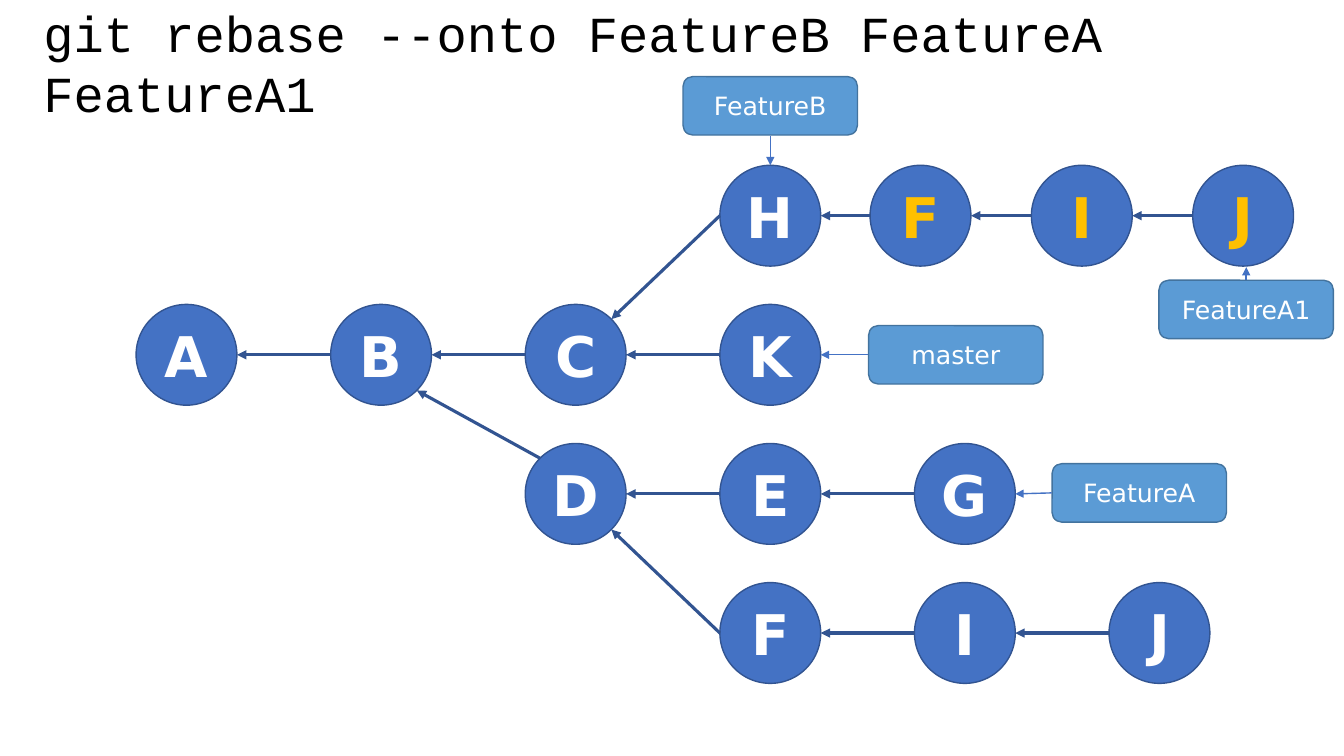
from itertools import pairwise
from math import cos, radians, sin

from lxml.etree import SubElement
from pptx import Presentation
from pptx.dml.color import RGBColor
from pptx.enum.shapes import MSO_CONNECTOR as Link, MSO_SHAPE as Shape
from pptx.enum.text import MSO_ANCHOR as Anchor, MSO_AUTO_SIZE as Fit, PP_ALIGN as Align
from pptx.oxml.ns import qn
from pptx.util import Inches, Pt

BLUE, NAVY = "4472C4", "325491"
SKY, STEEL = "5B9BD5", "43739E"
WHITE, GOLD, BLACK = "FFFFFF", "FFC000", "000000"
SANS, MONO = "DejaVu Sans", "Courier New"
RADIUS = 0.5
TAG_W, TAG_H = 1.73, 0.58
LEFT, STEP = 1.85, 1.93
TOP, ROW = 2.14, 1.38


def color(text):
    """Turn a hex string into a colour."""
    return RGBColor.from_string(text)


def write(frame, text, font, size, tint, align, bold=False):
    """Put one formatted line of text into a frame."""
    frame.text = text
    para = frame.paragraphs[0]
    para.alignment = align
    style = para.runs[0].font
    style.name, style.size, style.bold = font, Pt(size), bold
    style.color.rgb = color(tint)


def box(slide, kind, center, width, height, fill, line):
    """Draw a filled shape around its centre and return its text frame."""
    x, y = center
    shape = slide.shapes.add_shape(
        kind, Inches(x - width / 2), Inches(y - height / 2), Inches(width), Inches(height))
    shape.shadow.inherit = False
    shape.fill.solid()
    shape.fill.fore_color.rgb = color(fill)
    shape.line.color.rgb = color(line)
    shape.line.width = Pt(1)
    frame = shape.text_frame
    frame.vertical_anchor = Anchor.MIDDLE
    return frame


def commit(slide, name, center, tint):
    """Draw a commit as a lettered circle."""
    frame = box(slide, Shape.OVAL, center, 2 * RADIUS, 2 * RADIUS, BLUE, NAVY)
    write(frame, name, SANS, 40, tint, Align.CENTER, True)


def branch(slide, name, center):
    """Draw a branch label."""
    frame = box(slide, Shape.ROUNDED_RECTANGLE, center, TAG_W, TAG_H, SKY, STEEL)
    write(frame, name, SANS, 18, WHITE, Align.CENTER)


def arrow(slide, start, end, tint=NAVY, width=2.25):
    """Draw a straight arrow from start to end."""
    ends = [Inches(v) for v in (*start, *end)]
    link = slide.shapes.add_connector(Link.STRAIGHT, *ends)
    link.line.color.rgb = color(tint)
    link.line.width = Pt(width)
    SubElement(link.line._get_or_add_ln(), qn("a:tailEnd"), type="triangle")
    SubElement(link._element.spPr, qn("a:effectLst"))


def rim(center, angle):
    """Return the point of a commit's rim at an angle, clockwise from the right."""
    x, y = center
    turn = radians(angle)
    return x + RADIUS * cos(turn), y + RADIUS * sin(turn)


def chain(slide, names, row, left, step=STEP, first=0, tint=WHITE):
    """Draw a row of commits with arrows to their parents and return the centres."""
    spots = [(left + step * i, TOP + ROW * row) for i in range(len(names))]
    for i, (name, spot) in enumerate(zip(names, spots)):
        commit(slide, name, spot, tint if i >= first else WHITE)
    for prior, later in pairwise(spots):
        arrow(slide, rim(later, 180), rim(prior, 0))
    return spots


def heading(slide, text):
    """Place and format the slide title."""
    title = slide.shapes.title
    title.left, title.top = Inches(0.33), Inches(-0.03)
    title.width, title.height = Inches(12.67), Inches(0.71)
    frame = title.text_frame
    frame.word_wrap, frame.auto_size = True, Fit.NONE
    frame.vertical_anchor = Anchor.TOP
    write(frame, text, MONO, 36, BLACK, Align.LEFT)


def main():
    """Build the commit graph slide."""
    deck = Presentation()
    deck.slide_width, deck.slide_height = Inches(13.33), Inches(7.5)
    slide = deck.slides.add_slide(deck.slide_layouts[5])
    heading(slide, "git rebase --onto FeatureB FeatureA FeatureA1")

    trunk = chain(slide, "ABCK", 1, LEFT)
    side = chain(slide, "DEG", 2, LEFT + 2 * STEP)
    old = chain(slide, "FIJ", 3, LEFT + 3 * STEP)
    head = (LEFT + 3 * STEP, TOP)
    commit(slide, "H", head, WHITE)
    new = chain(slide, "FIJ", 0, 9.13, 1.6, tint=GOLD)

    arrow(slide, rim(new[0], 180), rim(head, 0))
    arrow(slide, rim(head, 180), rim(trunk[2], -45))
    arrow(slide, rim(side[0], 225), rim(trunk[1], 45))
    arrow(slide, rim(old[0], 180), rim(side[0], 45))

    tags = [
        ("FeatureB", (7.64, 1.05), (7.64, 1.35), rim(head, -90)),
        ("master", (9.48, 3.52), (8.61, 3.52), rim(trunk[3], 0)),
        ("FeatureA", (11.3, 4.89), (10.43, 4.89), rim(side[2], 0)),
        ("FeatureA1", (12.36, 3.07), (12.36, 2.78), (12.36, 2.65)),
    ]
    for name, center, start, end in tags:
        branch(slide, name, center)
        arrow(slide, start, end, BLUE, 1)
    deck.save("out.pptx")


if __name__ == "__main__":
    main()
